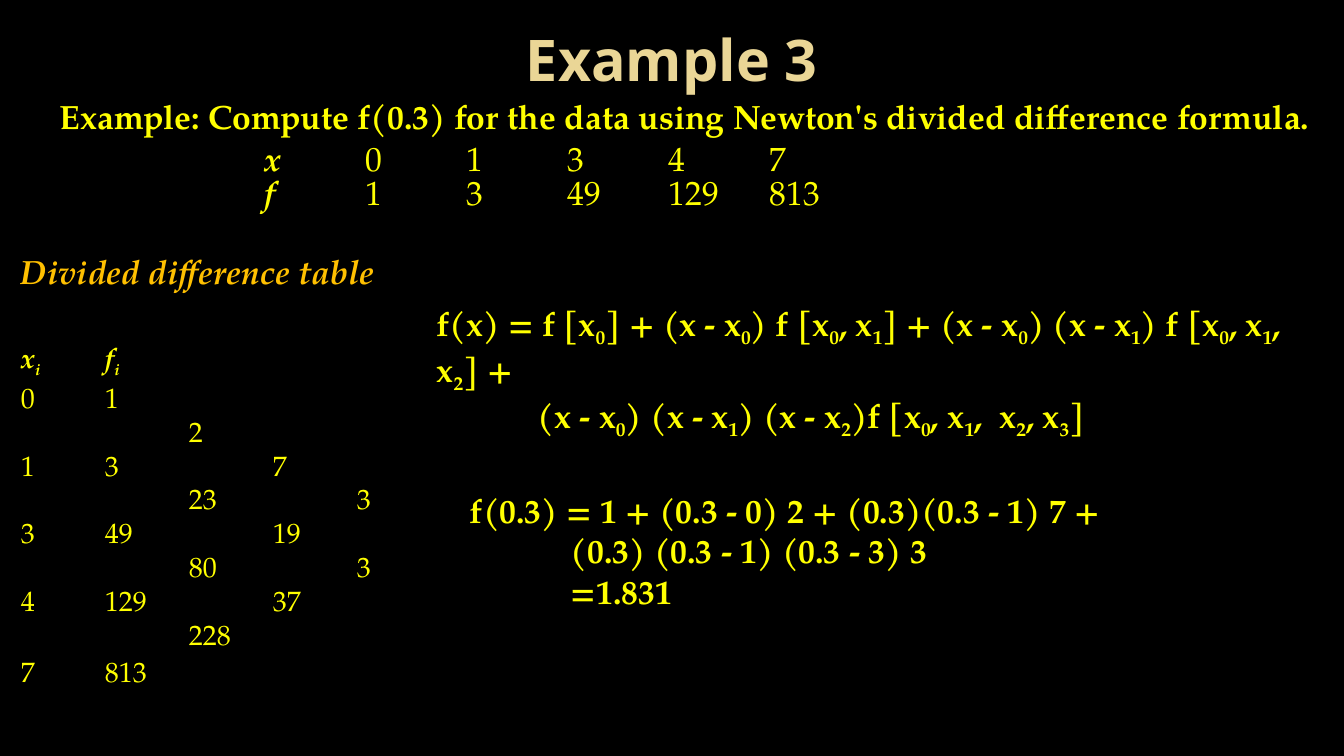
from lxml import etree
from pptx import Presentation
from pptx.dml.color import RGBColor
from pptx.enum.text import MSO_ANCHOR as Anchor, PP_ALIGN as Align
from pptx.oxml.ns import qn
from pptx.util import Emu, Pt

PX = 9071  # EMU per px, 100.8 px to the inch
SERIF = "TeX Gyre Pagella"
YELLOW = "FFFF00"


def color(hex_string):
    return RGBColor.from_string(hex_string)


def write(paragraph, text, size, hex_color=YELLOW, bold=True, italic=False, name=SERIF):
    """Fill a paragraph; the character after each underscore is a subscript."""
    font = paragraph.font
    font.name, font.size, font.bold, font.italic = name, Pt(size), bold, italic
    font.color.rgb = color(hex_color)
    start, *rest = text.split("_")
    pieces = [(start, False)]
    for part in rest:
        pieces += [(part[0], True), (part[1:], False)]
    for piece, subscript in pieces:
        if piece:
            run = paragraph.add_run()
            run.text = piece
            if subscript:
                run._r.get_or_add_rPr().set("baseline", "-25000")


presentation = Presentation()
presentation.slide_width = Emu(1344 * PX)
presentation.slide_height = Emu(756 * PX)
slide = presentation.slides.add_slide(presentation.slide_layouts[6])
slide.background.fill.solid()
slide.background.fill.fore_color.rgb = color("000000")

# Data table and divided difference table
data_rows = [
    ["x", "0", "1", "3", "4", "7"],
    ["f", "1", "3", "49", "129", "813"],
]
difference_rows = [
    ["x_i", "f_i", "", "", ""],
    ["0", "1", "", "", ""],
    ["", "", "2", "", ""],
    ["1", "3", "", "7", ""],
    ["", "", "23", "", "3"],
    ["3", "49", "", "19", ""],
    ["", "", "80", "", "3"],
    ["4", "129", "", "37", ""],
    ["", "", "228", "", ""],
    ["7", "813", "", "", ""],
]
tables = [
    # left, top, column width, row heights, font size, rows
    (265, 150, 101, [34, 34], 24, data_rows),
    (21, 347, 84, [38] + [34] * 8 + [40], 20, difference_rows),
]
for left, top, column_width, heights, size, rows in tables:
    width = column_width * len(rows[0])
    frame = slide.shapes.add_table(
        len(rows), len(rows[0]),
        Emu(left * PX), Emu(top * PX), Emu(width * PX), Emu(sum(heights) * PX))
    table = frame.table
    table.first_row = table.horz_banding = False
    for column in table.columns:
        column.width = Emu(column_width * PX)
    for row, height, values in zip(table.rows, heights, rows):
        row.height = Emu(height * PX)
        for cell, value in zip(row.cells, values):
            cell.vertical_anchor = Anchor.MIDDLE
            cell.margin_left = cell.margin_right = 0
            cell.margin_top = cell.margin_bottom = 0
            # No borders: the line elements come before the fill
            for side in ("a:lnL", "a:lnR", "a:lnT", "a:lnB"):
                border = etree.SubElement(cell._tc.get_or_add_tcPr(), qn(side))
                etree.SubElement(border, qn("a:noFill"))
            cell.fill.background()
            paragraph = cell.text_frame.paragraphs[0]
            paragraph.line_spacing = Pt(20)
            heading = value[:1] in ("x", "f") and value != ""
            write(paragraph, value, size, bold=heading, italic=heading)

# Title, task, table heading, formula and result
formula = [
    "f(x) = f [x_0] + (x - x_0) f [x_0, x_1] + (x - x_0) (x - x_1) f [x_0, x_1, x_2] +",
    "(x - x_0) (x - x_1) (x - x_2)f [x_0, x_1,  x_2, x_3]",
]
result = [
    "f(0.3) = 1 + (0.3 - 0) 2 + (0.3)(0.3 - 1) 7 +",
    "(0.3) (0.3 - 1) (0.3 - 3) 3",
    "=1.831",
]
task = ["Example: Compute f(0.3) for the data using Newton's divided difference formula."]
title_style = {"hex_color": "EAD696", "name": "Noto Sans"}
heading_style = {"hex_color": "FFC000", "italic": True}
texts = [
    # left, top, width, height, lines, size, style
    (67, -4, 1210, 126, ["Example 3"], 41, title_style),
    (50, 91, 1276, 50, task, 24, {}),
    (11, 246, 380, 50, ["Divided difference table"], 24, heading_style),
    (427, 298, 908, 92, formula, 24, {}),
    (460, 485, 871, 132, result, 24, {}),
]
for left, top, width, height, lines, size, style in texts:
    box = slide.shapes.add_textbox(
        Emu(left * PX), Emu(top * PX), Emu(width * PX), Emu(height * PX))
    text_frame = box.text_frame
    text_frame.word_wrap = True
    for index, line in enumerate(lines):
        paragraph = text_frame.add_paragraph() if index else text_frame.paragraphs[0]
        write(paragraph, line, size, **style)
        if index:  # Continuation lines are indented
            paragraph._p.get_or_add_pPr().set("marL", str(101 * PX))
        if style is title_style:
            paragraph.alignment = Align.CENTER
            text_frame.vertical_anchor = Anchor.MIDDLE

presentation.save("out.pptx")
